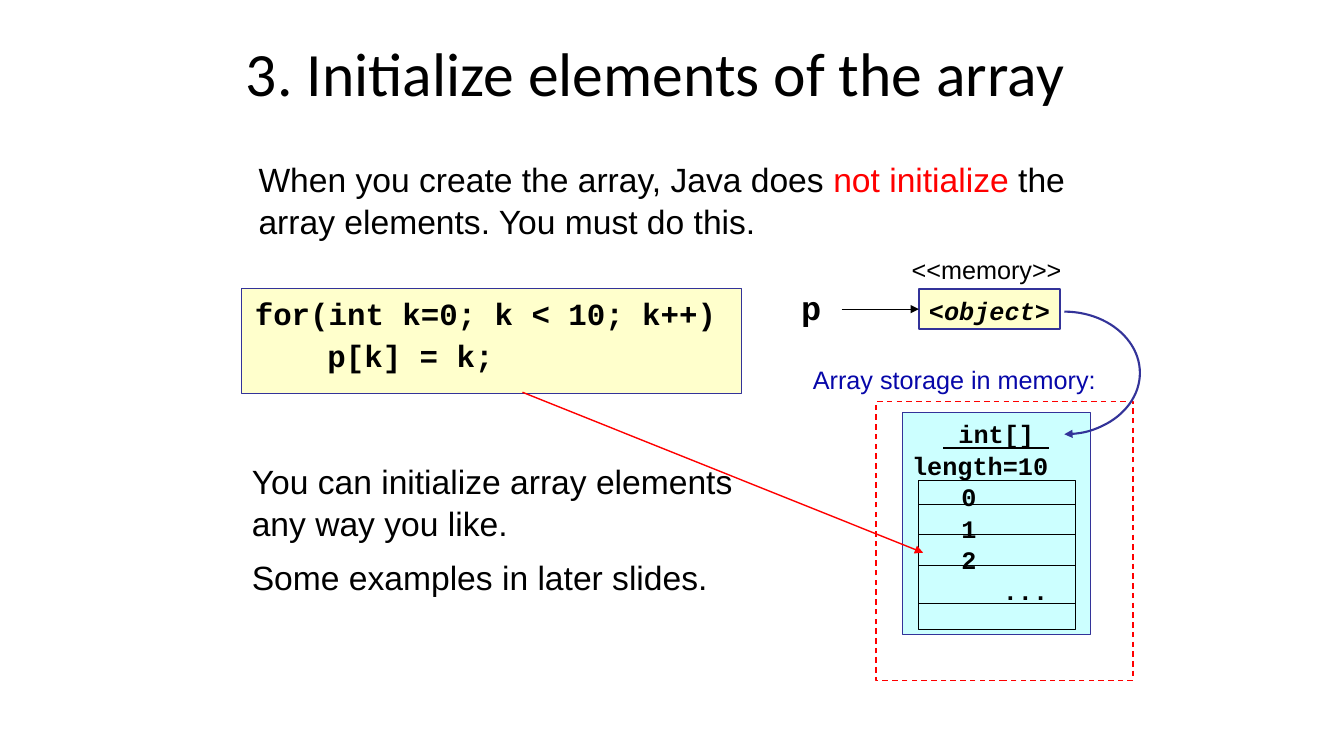
from dataclasses import dataclass

from lxml.etree import SubElement
from pptx import Presentation
from pptx.dml.color import RGBColor
from pptx.enum.dml import MSO_LINE
from pptx.enum.shapes import MSO_CONNECTOR, MSO_SHAPE
from pptx.enum.text import MSO_ANCHOR as Anchor, PP_ALIGN as Align
from pptx.oxml.ns import qn
from pptx.util import Emu, Inches, Pt

WIDTH, HEIGHT = Inches(13.33), Inches(7.5)
COLUMNS, ROWS = 160, 90


@dataclass(frozen=True)
class Theme:
    ink: str = "000000"
    red: str = "FF0000"
    blue: str = "0707A9"
    frame: str = "333399"
    cream: str = "FFFFCC"
    aqua: str = "CCFFFF"
    title_font: str = "Calibri"
    body_font: str = "Arial"
    code_font: str = "Courier New"
    title_size: int = 44
    body_size: int = 24
    code_size: int = 22
    label_size: int = 18
    line_spacing: float = 1.04
    thin: float = 0.75
    medium: float = 1
    thick: float = 1.5


THEME = Theme()


# Grid
def column(count):
    return Emu(round(WIDTH * count / COLUMNS))


def row(count):
    return Emu(round(HEIGHT * count / ROWS))


def area(left, top, width, height):
    return column(left), row(top), column(width), row(height)


# Lines
def style_line(line, color, width, arrow=False):
    line.color.rgb = RGBColor.from_string(color)
    line.width = Pt(width)
    if arrow:
        SubElement(line._get_or_add_ln(), qn("a:tailEnd"), type="triangle")


def add_line(slide, start, end, color, width, arrow=False):
    line = slide.shapes.add_connector(
        MSO_CONNECTOR.STRAIGHT,
        column(start[0]), row(start[1]), column(end[0]), row(end[1]))
    style_line(line.line, color, width, arrow)
    SubElement(line._element.spPr, qn("a:effectLst"))
    return line


# Shapes
def add_figure(slide, place, color, width, fill=None,
               kind=MSO_SHAPE.RECTANGLE, arrow=False):
    shape = slide.shapes.add_shape(kind, *area(*place))
    shape.shadow.inherit = False
    if fill:
        shape.fill.solid()
        shape.fill.fore_color.rgb = RGBColor.from_string(fill)
    else:
        shape.fill.background()
    style_line(shape.line, color, width, arrow)
    return shape


# Text: each paragraph is a list of (text, overrides) runs
def write(shape, paragraphs, font, size, color=THEME.ink, bold=False,
          align=Align.LEFT, anchor=Anchor.TOP, before=0, wrap=True,
          spacing=THEME.line_spacing, tabs=(), indent=None):
    frame = shape.text_frame
    frame.word_wrap = wrap
    frame.vertical_anchor = anchor
    for index, runs in enumerate(paragraphs):
        paragraph = frame.add_paragraph() if index else frame.paragraphs[0]
        properties = paragraph._p.get_or_add_pPr()
        if indent:
            properties.set("marL", str(Inches(indent[0])))
            properties.set("indent", str(Inches(indent[1])))
        if tabs:
            stops = SubElement(properties, qn("a:tabLst"))
            for stop in tabs:
                SubElement(stops, qn("a:tab"), pos=str(Inches(stop)), algn="l")
        paragraph.alignment = align
        paragraph.line_spacing = spacing
        if index and before:
            paragraph.space_before = Pt(before)
        for text, overrides in runs:
            run = paragraph.add_run()
            run.text = text
            run.font.name = font
            run.font.size = Pt(size)
            run.font.bold = bold
            run.font.italic = overrides.get("italic", False)
            run.font.underline = overrides.get("underline", False)
            run.font.color.rgb = RGBColor.from_string(
                overrides.get("color", color))
    return shape


def add_text(slide, place, paragraphs, font, size, **options):
    box = slide.shapes.add_textbox(*area(*place))
    return write(box, paragraphs, font, size, **options)


def plain(*texts):
    return [[(text, {})] for text in texts]


# Array storage with its cells
def add_array(slide):
    storage = add_figure(slide, (107.4, 49.1, 22.4, 26.4),
                         THEME.frame, THEME.thin, THEME.aqua)
    write(storage,
          [[(" int[] ", {"underline": True})],
           *plain("length=10", "\t0", "\t1", "\t2", "\t\t...")],
          THEME.code_font, THEME.label_size, bold=True, tabs=(0.49, 0.9))
    storage.text_frame.paragraphs[0].alignment = Align.CENTER
    add_text(slide, (95.6, 42.7, 39.6, 4.8),
             plain("Array storage in memory:"),
             THEME.body_font, THEME.label_size, color=THEME.blue)
    border = add_figure(slide, (104.3, 47.8, 30.6, 33.2),
                        THEME.red, THEME.medium)
    border.line.dash_style = MSO_LINE.DASH
    left, width = 109.3, 18.7
    add_figure(slide, (left, 57.2, width, 17.8), THEME.ink, THEME.thin)
    for divider in (60.1, 63.6, 67.3, 71.8):
        add_line(slide, (left, divider), (left + width, divider),
                 THEME.ink, THEME.thin)


# Variable p and the object it refers to
def add_reference(slide):
    target = add_figure(slide, (109.4, 34.4, 16.8, 4.8),
                        THEME.frame, THEME.thick, THEME.cream)
    write(target, [[("<", {}), ("object", {"italic": True}), (">", {})]],
          THEME.code_font, THEME.label_size, bold=True, wrap=False)
    add_text(slide, (103.9, 29.6, 27.1, 4.8), plain("<<memory>>"),
             THEME.body_font, THEME.label_size, align=Align.CENTER)
    arc = add_figure(slide, (117.7, 37.1, 18, 14.6), THEME.frame,
                     THEME.thick, kind=MSO_SHAPE.ARC, arrow=True)
    arc.adjustments[0] = 162  # top of the ellipse
    arc.adjustments[1] = 54  # bottom of the ellipse
    pointer = add_line(slide, (100.2, 36.8), (109.4, 36.8),
                       THEME.ink, THEME.thin, arrow=True)
    pointer.end_connect(target, 1)
    add_text(slide, (94.2, 33.4, 4.8, 6), plain("p"), THEME.code_font,
             THEME.body_size, bold=True, wrap=False)


def main():
    presentation = Presentation()
    presentation.slide_width, presentation.slide_height = WIDTH, HEIGHT
    slide = presentation.slides.add_slide(presentation.slide_layouts[6])

    # Title
    add_text(slide, (28.1, 3.4, 103.9, 11.4),
             plain("3. Initialize elements of the array"),
             THEME.title_font, THEME.title_size,
             anchor=Anchor.MIDDLE, spacing=0.9)

    # Loop code
    code = add_figure(slide, (28.8, 34.3, 59.5, 12.5),
                      THEME.frame, THEME.thin, THEME.cream)
    write(code, plain("for(int k=0; k < 10; k++)", "\t\tp[k] = k;"),
          THEME.code_font, THEME.code_size, bold=True, before=2.5,
          indent=(0.25, -0.22))

    # Explanations
    add_text(slide, (29.6, 18.1, 100.7, 10.8),
             [[("When you create the array, Java does ", {}),
               ("not initialize", {"color": THEME.red}),
               (" the array elements. You must do this.", {})]],
             THEME.body_font, THEME.body_size)
    add_text(slide, (28.8, 54.1, 63, 17.3),
             plain("You can initialize array elements any way you like.",
                   "Some examples in later slides."),
             THEME.body_font, THEME.body_size, before=9)

    # Memory diagram
    add_array(slide)
    add_reference(slide)
    add_line(slide, (62.2, 46.7), (109.9, 65.8),
             THEME.red, THEME.medium, arrow=True)

    presentation.save("out.pptx")


if __name__ == "__main__":
    main()
